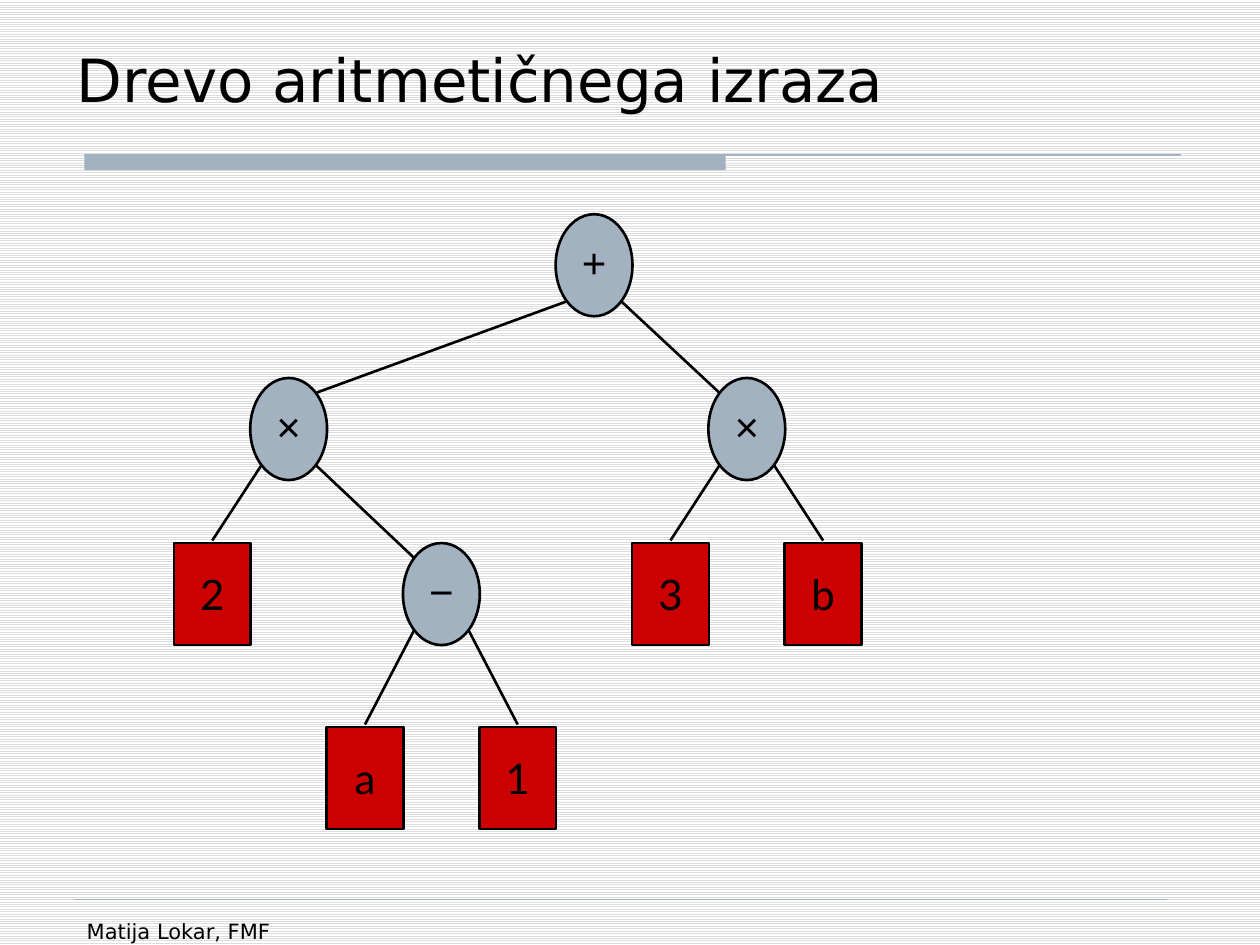
"""Builds a slide showing the expression tree of an arithmetic expression."""
from dataclasses import dataclass
from math import sqrt

from pptx import Presentation
from pptx.dml.color import RGBColor
from pptx.enum.dml import MSO_PATTERN
from pptx.enum.shapes import MSO_CONNECTOR, MSO_SHAPE
from pptx.enum.text import MSO_ANCHOR, MSO_AUTO_SIZE, PP_ALIGN
from pptx.oxml.ns import qn
from pptx.util import Inches, Pt

STRIPES = MSO_PATTERN.LIGHT_HORIZONTAL
STRAIGHT = MSO_CONNECTOR.STRAIGHT
OVAL, RECTANGLE = MSO_SHAPE.OVAL, MSO_SHAPE.RECTANGLE
TOP, MIDDLE, BOTTOM = MSO_ANCHOR.TOP, MSO_ANCHOR.MIDDLE, MSO_ANCHOR.BOTTOM
LEFT, CENTER = PP_ALIGN.LEFT, PP_ALIGN.CENTER
NO_AUTOFIT = MSO_AUTO_SIZE.NONE
TITLE_ONLY = 5

NODE_WIDTH, NODE_HEIGHT = 0.61, 0.81
FIRST_COLUMN, COLUMN_STEP = 1.38, 0.606
LEVEL_TOPS = (1.7, 3, 4.31, 5.77)
LEAF_GAP = 0.02

EXPRESSION = ("+", 5, [
    ("×", 1, [
        ("2", 0, []),
        ("−", 3, [("a", 2, []), ("1", 4, [])]),
    ]),
    ("×", 7, [("3", 6, []), ("b", 8, [])]),
])


@dataclass(frozen=True)
class Theme:
    """Colours, fonts and sizes of the slide."""
    ink: RGBColor = RGBColor(0x00, 0x00, 0x00)
    paper: RGBColor = RGBColor(0xFF, 0xFF, 0xFF)
    stripe: RGBColor = RGBColor(0xDD, 0xDD, 0xDD)
    accent: RGBColor = RGBColor(0xA3, 0xB2, 0xC1)
    leaf: RGBColor = RGBColor(0xCC, 0x00, 0x00)
    heading_font: str = "DejaVu Sans"
    operator_font: str = "Arial"
    operand_font: str = "Lato"
    title_size: Pt = Pt(34)
    node_size: Pt = Pt(24)
    footer_size: Pt = Pt(12)
    edge_width: Pt = Pt(1.5)
    rule_width: Pt = Pt(0.75)
    hairline: Pt = Pt(0.25)


def apply(target, values):
    """Set each named value on the target."""
    for name, value in values.items():
        setattr(target, name, value)


class TreeSlide:
    """Holds the theme and the slide, and draws each kind of element."""

    def __init__(self, slide, theme):
        self.slide, self.theme = slide, theme

    def background(self):
        """Fill the slide with thin stripes."""
        fill = self.slide.background.fill
        fill.patterned()
        fill.pattern = STRIPES
        fill.fore_color.rgb = self.theme.stripe
        fill.back_color.rgb = self.theme.paper

    def label(self, frame, text, font, size, align, **frame_format):
        """Put one formatted paragraph in a text frame."""
        apply(frame, frame_format)
        paragraph = frame.paragraphs[0]
        paragraph.alignment = align
        run = paragraph.add_run()
        run.text = text
        apply(run.font, {"name": font, "size": size})
        run.font.color.rgb = self.theme.ink

    def title(self, text, left, top, width, height):
        """Place and fill the title placeholder."""
        title = self.slide.shapes.title
        apply(title, {"left": Inches(left), "top": Inches(top),
                      "width": Inches(width), "height": Inches(height)})
        self.label(title.text_frame, text, self.theme.heading_font, self.theme.title_size,
                   LEFT, vertical_anchor=BOTTOM, word_wrap=True, auto_size=NO_AUTOFIT)

    def footer(self, text, left, top, width, height):
        """Add the footer text."""
        box = self.slide.shapes.add_textbox(*map(Inches, (left, top, width, height)))
        self.label(box.text_frame, text, self.theme.heading_font, self.theme.footer_size,
                   LEFT, vertical_anchor=TOP, word_wrap=True)

    def line(self, start, end, color, width):
        """Draw a straight line without a shadow."""
        line = self.slide.shapes.add_connector(STRAIGHT, *map(Inches, (*start, *end)))
        line.line.color.rgb = color
        line.line.width = width
        properties = line._element.spPr
        properties.append(properties.makeelement(qn("a:effectLst"), {}))

    def shape(self, kind, left, top, width, height, color):
        """Draw a filled shape without an outline or shadow."""
        shape = self.slide.shapes.add_shape(kind, *map(Inches, (left, top, width, height)))
        shape.shadow.inherit = False
        shape.fill.solid()
        shape.fill.fore_color.rgb = color
        shape.line.fill.background()
        return shape

    def node(self, symbol, left, top, is_leaf):
        """Draw an operand as a box or an operator as an ellipse."""
        theme = self.theme
        kind, color, font = ((RECTANGLE, theme.leaf, theme.operand_font) if is_leaf
                             else (OVAL, theme.accent, theme.operator_font))
        node = self.shape(kind, left, top, NODE_WIDTH, NODE_HEIGHT, color)
        node.line.color.rgb = theme.ink
        node.line.width = theme.edge_width
        margins = {} if is_leaf else {"margin_left": 0, "margin_top": 0,
                                      "margin_right": 0, "margin_bottom": Inches(0.05)}
        self.label(node.text_frame, symbol, font, theme.node_size, CENTER,
                   vertical_anchor=MIDDLE, word_wrap=False, **margins)

    def tree(self, branch, level=0):
        """Draw a branch with its edges and return its horizontal centre."""
        symbol, column, children = branch
        left, top = FIRST_COLUMN + column * COLUMN_STEP, LEVEL_TOPS[level]
        self.node(symbol, left, top, not children)
        center, middle = left + NODE_WIDTH / 2, top + NODE_HEIGHT / 2
        reach_x, reach_y = NODE_WIDTH / sqrt(8), NODE_HEIGHT / sqrt(8)
        for child, side in zip(children, (-1, 1)):
            child_center = self.tree(child, level + 1)
            child_top = LEVEL_TOPS[level + 1]
            if child[2]:
                end = (child_center - side * reach_x, child_top + NODE_HEIGHT / 2 - reach_y)
            else:
                end = (child_center, child_top - LEAF_GAP)
            self.line((center + side * reach_x, middle + reach_y), end,
                      self.theme.ink, self.theme.edge_width)
        return center


def main():
    """Build and save the slide."""
    presentation = Presentation()
    apply(presentation, {"slide_width": Inches(10), "slide_height": Inches(7.5)})
    theme = Theme()
    layout = presentation.slide_layouts[TITLE_ONLY]
    page = TreeSlide(presentation.slides.add_slide(layout), theme)
    page.background()
    page.shape(RECTANGLE, 0.67, 1.23, 5.09, 0.12, theme.accent)
    page.line((0.67, 1.23), (9.37, 1.23), theme.accent, theme.rule_width)
    page.line((0.59, 7.14), (9.26, 7.14), theme.accent, theme.hairline)
    page.footer("Matija Lokar, FMF", 0.59, 7.24, 2.17, 0.52)
    page.title("Drevo aritmetičnega izraza", 0.51, 0.21, 8.75, 0.75)
    page.tree(EXPRESSION)
    presentation.save("out.pptx")


if __name__ == "__main__":
    main()
